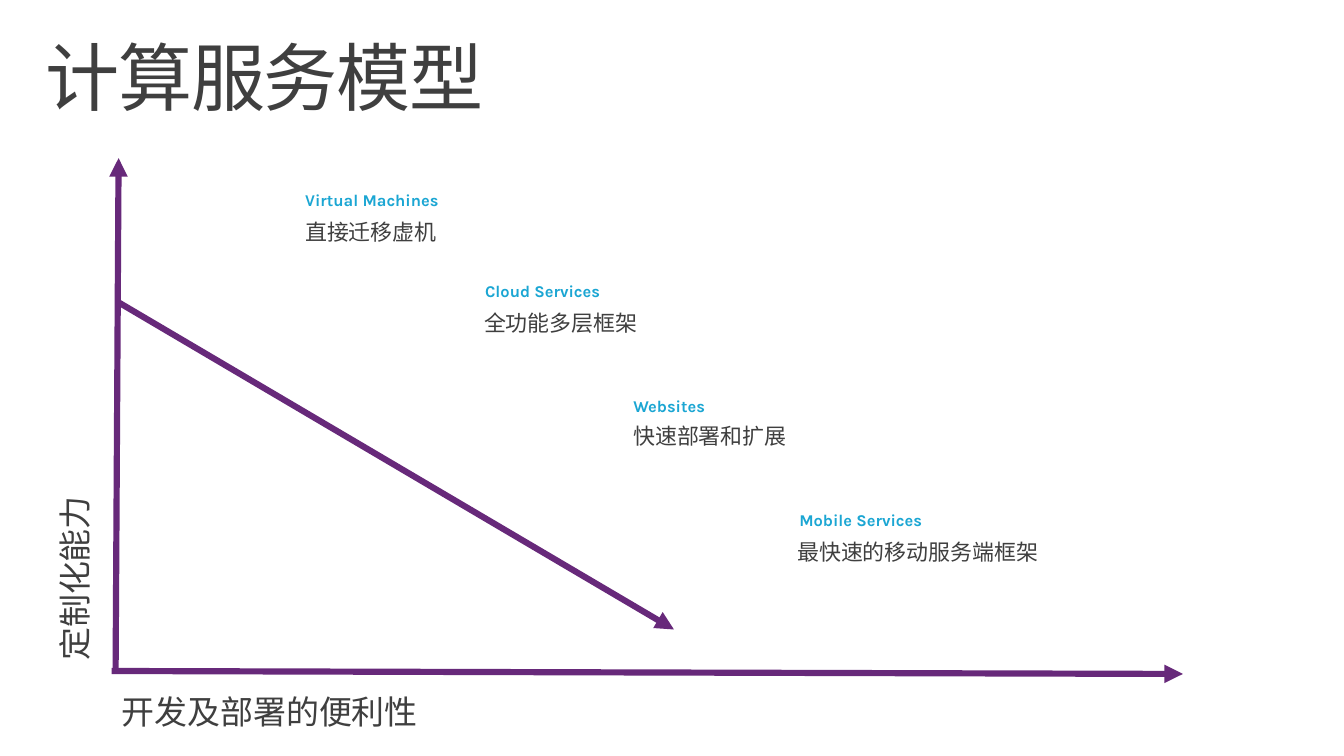
"""Build the slide on compute service models."""
from dataclasses import dataclass

import pptx
import pptx.dml.color
import pptx.enum.shapes
import pptx.enum.text
import pptx.oxml.ns
import pptx.util
from lxml import etree
from pptx.util import Inches

HUES = {"text": "3F3F3F", "line": "67297A", "name": "1BA6D3"}
FONT = "Karla"


@dataclass
class Box:
    """Place of a text, in inches."""
    left: float
    top: float
    width: float
    height: float


@dataclass
class Arrow:
    """Start and end of an arrow, in inches."""
    start: tuple[float, float]
    end: tuple[float, float]


@dataclass
class Service:
    """A service name with a note beneath it."""
    name: str
    spot: Box
    note: str
    place: Box


ARROWS = [
    Arrow((1.17, 6.79), (1.2, 1.6)),
    Arrow((1.13, 6.79), (11.97, 6.82)),
    Arrow((1.2, 3.06), (6.82, 6.37)),
]
SERVICES = [
    Service("Virtual Machines", Box(2.99, 1.87, 1.74, 0.3),
            "直接迁移虚机", Box(2.99, 2.16, 2.07, 0.37)),
    Service("Cloud Services", Box(4.81, 2.79, 1.42, 0.3),
            "全功能多层框架", Box(4.8, 3.08, 1.87, 0.37)),
    Service("Websites", Box(6.31, 3.96, 1.42, 0.3),
            "快速部署和扩展", Box(6.31, 4.23, 2, 0.37)),
    Service("Mobile Services", Box(7.99, 5.11, 1.56, 0.5),
            "最快速的移动服务端框架", Box(7.97, 5.4, 2.66, 0.37)),
]


def rgb(hue: str) -> pptx.dml.color.RGBColor:
    """Return the named colour."""
    return pptx.dml.color.RGBColor.from_string(HUES[hue])


def write(frame, text: str, *, size: float, hue: str = "text",
          bold: bool = False, track: int = 0):
    """Put formatted text in a frame and return its paragraph."""
    frame.word_wrap = True
    para = frame.paragraphs[0]
    para.alignment = pptx.enum.text.PP_ALIGN.LEFT
    run = para.add_run()
    run.text = text
    run.font.name = FONT
    run.font.size = pptx.util.Pt(size)
    run.font.bold = bold
    run.font.color.rgb = rgb(hue)
    if track:
        run.font._element.set("spc", str(track))
    return para


def label(slide, box: Box, text: str, turn: float = 0, **style) -> None:
    """Add a text box that fits its text."""
    shape = slide.shapes.add_textbox(
        Inches(box.left), Inches(box.top), Inches(box.width), Inches(box.height))
    shape.rotation = turn
    write(shape.text_frame, text, **style)
    shape.text_frame.auto_size = pptx.enum.text.MSO_AUTO_SIZE.SHAPE_TO_FIT_TEXT


def draw(slide, arrow: Arrow) -> None:
    """Add a straight arrow."""
    line = slide.shapes.add_connector(
        pptx.enum.shapes.MSO_CONNECTOR.STRAIGHT,
        *(Inches(n) for n in arrow.start + arrow.end))
    line.line.color.rgb = rgb("line")
    line.line.width = pptx.util.Pt(4.5)
    tag = pptx.oxml.ns.qn
    etree.SubElement(line.line._get_or_add_ln(), tag("a:tailEnd"), type="triangle")
    etree.SubElement(line._element.spPr, tag("a:effectLst"))


def head(slide, text: str) -> None:
    """Fill and place the title."""
    title = slide.shapes.title
    title.left, title.top = Inches(0.3), Inches(0.32)
    title.width, title.height = Inches(13), Inches(1)
    frame = title.text_frame
    frame.margin_left = frame.margin_right = Inches(0.16)
    frame.margin_top = frame.margin_bottom = Inches(0.1)
    frame.vertical_anchor = pptx.enum.text.MSO_ANCHOR.MIDDLE
    frame.auto_size = pptx.enum.text.MSO_AUTO_SIZE.NONE
    write(frame, text, size=54, track=-100).line_spacing = 0.9


def main() -> None:
    """Build and save the deck."""
    deck = pptx.Presentation()
    deck.slide_width, deck.slide_height = Inches(13.6), Inches(7.65)
    slide = deck.slides.add_slide(deck.slide_layouts[5])
    head(slide, "计算服务模型")
    for arrow in ARROWS:
        draw(slide, arrow)
    label(slide, Box(1.13, 6.95, 10.83, 0.5), "开发及部署的便利性", size=24)
    label(slide, Box(-1.84, 3.94, 5.19, 0.5), "定制化能力", turn=270, size=24)
    for item in SERVICES:
        label(slide, item.spot, item.name, size=12, hue="name", bold=True)
        label(slide, item.place, item.note, size=16)
    deck.save("out.pptx")


if __name__ == "__main__":
    main()
